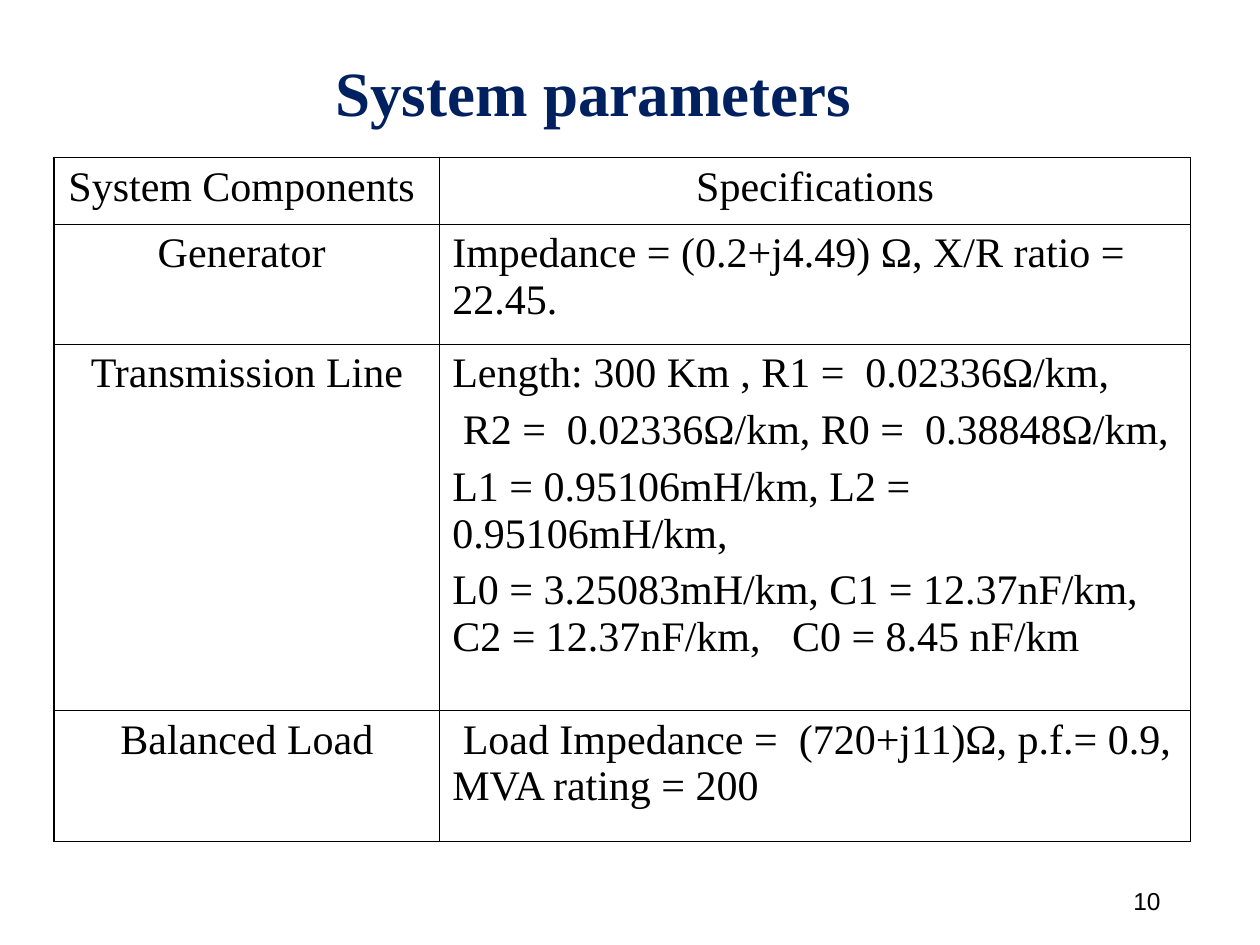
from pptx import Presentation
from pptx.dml.color import RGBColor
from pptx.enum.text import MSO_ANCHOR as Anchor, PP_ALIGN as Align
from pptx.oxml.ns import qn
from pptx.util import Inches, Pt
from lxml.etree import SubElement

SERIF = "Times New Roman"
TITLE = {"name": SERIF, "size": Pt(36), "bold": True}
BODY = {"name": SERIF, "size": Pt(24), "bold": False}
NUMBER = {"name": "Arial", "size": Pt(14)}
BLACK = "000000"
NAVY = "002060"
OUTER, INNER = 1.08, 0.45

COLUMN_WIDTHS = [3.06, 5.96]
ROW_HEIGHTS = [0.53, 0.95, 2.91, 1.04]
PARAMETERS = [
    ("System Components ", ["Specifications"]),
    ("Generator ", ["Impedance = (0.2+j4.49) Ω, X/R ratio = 22.45."]),
    ("Transmission Line", [
        "Length: 300 Km , R1 =  0.02336Ω/km,",
        " R2 =  0.02336Ω/km, R0 =  0.38848Ω/km,",
        "L1 = 0.95106mH/km, L2 = 0.95106mH/km,",
        "L0 = 3.25083mH/km, C1 = 12.37nF/km, C2 = 12.37nF/km,   C0 = 8.45 nF/km",
    ]),
    ("Balanced Load", [" Load Impedance =  (720+j11)Ω, p.f.= 0.9, MVA rating = 200"]),
]


def color(value):
    return RGBColor.from_string(value)


def write(paragraph, text, style, ink, align):
    paragraph.alignment = align
    run = paragraph.add_run()
    run.text = text
    for name, value in style.items():
        setattr(run.font, name, value)
    run.font.color.rgb = color(ink)


def add_label(slide, box, text, style, ink, align, indent=0.1):
    frame = slide.shapes.add_textbox(*map(Inches, box)).text_frame
    frame.word_wrap = True
    frame.vertical_anchor = Anchor.MIDDLE
    frame.margin_left = Inches(indent)
    write(frame.paragraphs[0], text, style, ink, align)
    return frame


def set_borders(cell, widths):
    properties = cell._tc.get_or_add_tcPr()
    for index, (side, width) in enumerate(widths.items()):
        line = properties.makeelement(qn(f"a:{side}"), {"w": str(Pt(width))})
        fill = SubElement(line, qn("a:solidFill"))
        SubElement(fill, qn("a:srgbClr"), val=BLACK)
        properties.insert(index, line)


def fill_cell(cell, lines, align):
    cell.fill.background()
    frame = cell.text_frame
    for index, text in enumerate(lines):
        paragraph = frame.add_paragraph() if index else frame.paragraphs[0]
        if index:
            paragraph.space_before = Pt(6)
        write(paragraph, text, BODY, BLACK, align)


def add_parameters(slide, left, top):
    row_count, column_count = len(ROW_HEIGHTS), len(COLUMN_WIDTHS)
    box = left, top, sum(COLUMN_WIDTHS), sum(ROW_HEIGHTS)
    table = slide.shapes.add_table(row_count, column_count, *map(Inches, box)).table
    table.first_row = table.horz_banding = False
    for column, width in zip(table.columns, COLUMN_WIDTHS):
        column.width = Inches(width)
    for row, height in zip(table.rows, ROW_HEIGHTS):
        row.height = Inches(height)
    for r, (component, specifications) in enumerate(PARAMETERS):
        fill_cell(table.cell(r, 0), [component], Align.CENTER)
        fill_cell(table.cell(r, 1), specifications, Align.LEFT if r else Align.CENTER)
        for c in range(column_count):
            edges = {
                "lnL": c == 0,
                "lnR": c == column_count - 1,
                "lnT": r == 0,
                "lnB": r == row_count - 1,
            }
            set_borders(table.cell(r, c), {
                side: OUTER if outside else INNER for side, outside in edges.items()
            })


def main():
    deck = Presentation()
    deck.slide_width, deck.slide_height = Inches(10), Inches(7.5)
    slide = deck.slides.add_slide(deck.slide_layouts[6])
    add_label(slide, (7.06, 6.95, 2.25, 0.4), "10", NUMBER, BLACK, Align.RIGHT)
    add_parameters(slide, 0.43, 1.25)
    title = add_label(slide, (0.69, 0.42, 9, 0.69), "System parameters",
                      TITLE, NAVY, Align.LEFT, indent=1.97)
    title.paragraphs[0].line_spacing = 0.9
    deck.save("out.pptx")


if __name__ == "__main__":
    main()
